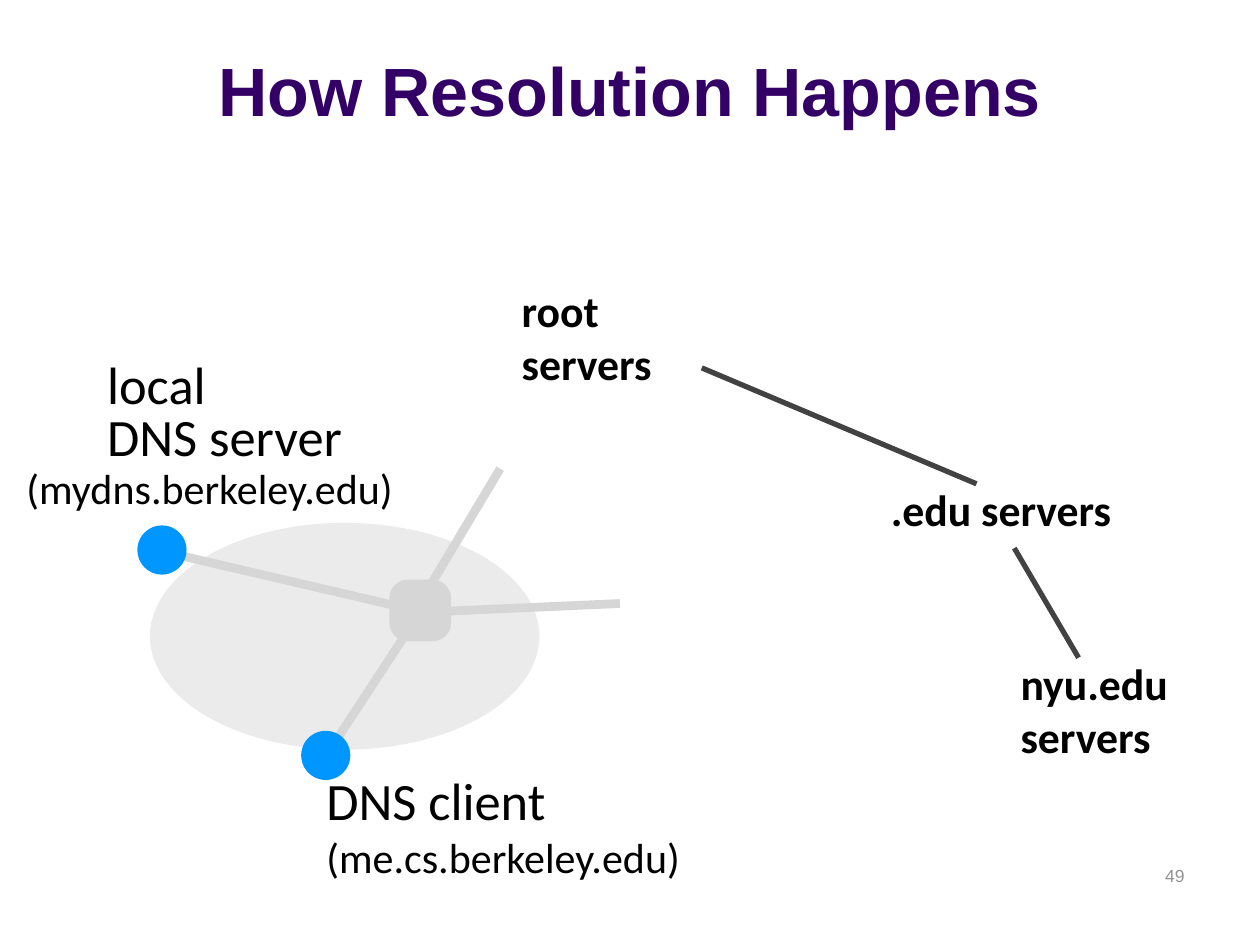
from dataclasses import dataclass

from lxml import etree
from pptx import Presentation
from pptx.dml.color import RGBColor
from pptx.enum.shapes import MSO_CONNECTOR, MSO_SHAPE
from pptx.enum.text import MSO_ANCHOR, PP_ALIGN
from pptx.oxml.ns import qn
from pptx.util import Inches, Pt

OVAL, ROUNDED = MSO_SHAPE.OVAL, MSO_SHAPE.ROUNDED_RECTANGLE
STRAIGHT = MSO_CONNECTOR.STRAIGHT
TOP, MIDDLE, BOTTOM = MSO_ANCHOR.TOP, MSO_ANCHOR.MIDDLE, MSO_ANCHOR.BOTTOM
LEFT, CENTER, RIGHT = PP_ALIGN.LEFT, PP_ALIGN.CENTER, PP_ALIGN.RIGHT

WIDTH, HEIGHT = Inches(10), Inches(7.5)
COLUMNS, ROWS = 100, 75


@dataclass(frozen=True)
class Theme:
    """Colours, fonts and type sizes of the slide."""
    title_color: str = "330066"
    text_color: str = "000000"
    number_color: str = "929292"
    cloud: str = "EBEBEB"
    router: str = "D6D6D6"
    host: str = "0096FF"
    tree_line: str = "424242"
    heading_font: str = "Arial"
    label_font: str = "Calibri"
    title_size: int = 39
    label_size: int = 30
    server_size: int = 25
    address_size: int = 24
    number_size: int = 10


THEME = Theme()


@dataclass(frozen=True)
class Box:
    """An area in grid columns and rows."""
    left: float
    top: float
    width: float
    height: float

    def point(self, x, y):
        """Slide position of a grid offset inside the box."""
        return (round((self.left + x) * WIDTH / COLUMNS),
                round((self.top + y) * HEIGHT / ROWS))

    def inner(self, x, y, width, height):
        """A smaller box at a grid offset."""
        return Box(self.left + x, self.top + y, width, height)

    def place(self):
        """Left, top, width and height on the slide."""
        return (*self.point(0, 0), round(self.width * WIDTH / COLUMNS),
                round(self.height * HEIGHT / ROWS))


def write(shape, *spans, font=THEME.label_font, color=THEME.text_color,
          bold=False, align=LEFT, anchor=MIDDLE, inset=0.04):
    """Write (text, size) spans into a shape, one span a line."""
    frame = shape.text_frame
    frame.word_wrap = True
    frame.vertical_anchor = anchor
    frame.margin_left = frame.margin_right = Inches(inset)
    frame.margin_top = frame.margin_bottom = Inches(inset)
    para = frame.paragraphs[0]
    para.alignment = align
    for index, (text, size) in enumerate(spans):
        if index:
            para.add_line_break()
        span = para.add_run()
        span.text = text
        span.font.name, span.font.size, span.font.bold = font, Pt(size), bold
        span.font.color.rgb = RGBColor.from_string(color)


def add_label(page, box, *spans, **style):
    """Add a text box."""
    write(page.shapes.add_textbox(*box.place()), *spans, **style)


def add_solid(page, kind, box, color):
    """Add a filled shape without outline."""
    shape = page.shapes.add_shape(kind, *box.place())
    shape.shadow.inherit = False
    shape.fill.solid()
    shape.fill.fore_color.rgb = RGBColor.from_string(color)
    shape.line.fill.background()
    return shape


def add_link(page, box, start, end, color, weight):
    """Add a straight line between two grid offsets of a box."""
    line = page.shapes.add_connector(
        STRAIGHT, *box.point(*start), *box.point(*end))
    line.line.color.rgb = RGBColor.from_string(color)
    line.line.width = Pt(weight)
    etree.SubElement(line._element.spPr, qn("a:effectLst"))


def add_title(page, box):
    """Fill the title placeholder."""
    title = page.shapes.title
    title.left, title.top, title.width, title.height = box.place()
    write(title, ("How Resolution Happens", THEME.title_size), bold=True,
          font=THEME.heading_font, color=THEME.title_color,
          align=CENTER, anchor=BOTTOM, inset=0.05)


def add_local_network(page, box):
    """Draw the local network with its router, client and DNS server."""
    add_solid(page, OVAL, box.inner(11.9, 14, 30.9, 18), THEME.cloud)
    links = [((12.6, 16.2), (32.8, 20.9)), ((33.2, 21.3), (26.2, 32)),
             ((39.7, 9.7), (33.3, 20.4)), ((49.2, 20.4), (33.4, 21.1))]
    for start, end in links:
        add_link(page, box, start, end, THEME.router, 5)
    router = add_solid(page, ROUNDED, box.inner(30.9, 18.5, 4.9, 4.9),
                       THEME.router)
    router.adjustments[0] = 0.3
    for x, y in [(23.9, 30.5), (10.9, 14.2)]:
        add_solid(page, OVAL, box.inner(x, y, 3.9, 3.9), THEME.host)

    add_label(page, box.inner(25.5, 33, 41.2, 9.9),
              ("DNS client", THEME.label_size),
              ("(me.cs.berkeley.edu)", THEME.address_size))
    add_label(page, box.inner(8.1, 0, 9.6, 5.8), ("local", THEME.label_size))
    add_label(page, box.inner(8.1, 4.2, 20.3, 5.8),
              ("DNS server", THEME.label_size))
    add_label(page, box.inner(1.7, 8.8, 38.3, 4.8),
              ("(mydns.berkeley.edu)", THEME.address_size))


def add_server_tree(page, box):
    """Draw the chain of servers from the root downwards."""
    for start, end in [((14.7, 7.1), (36.5, 16.3)),
                       ((39.5, 21.4), (44.6, 30.1))]:
        add_link(page, box, start, end, THEME.tree_line, 3)
    servers = [((0, 0, 17.9, 9.2), ("root", "servers")),
               ((29.3, 15.8, 20.5, 5), (".edu servers",)),
               ((39.6, 29.6, 14.4, 9.2), ("nyu.edu", "servers"))]
    for area, lines in servers:
        add_label(page, box.inner(*area),
                  *[(line, THEME.server_size) for line in lines], bold=True)


def add_page_number(page, box):
    """Add the slide number."""
    add_label(page, box, ("49", THEME.number_size), font=THEME.heading_font,
              color=THEME.number_color, align=RIGHT, anchor=TOP, inset=0.1)


def build():
    """Build and save the deck."""
    deck = Presentation()
    deck.slide_width, deck.slide_height = WIDTH, HEIGHT
    page = deck.slides.add_slide(deck.slide_layouts[5])
    add_title(page, Box(0, 1.3, 100, 9.5))
    add_page_number(page, Box(71.7, 67.8, 23.3, 5))
    add_local_network(page, Box(0, 27.5, 66.7, 42.9))
    add_server_tree(page, Box(41, 22.1, 54, 38.8))
    deck.save("out.pptx")


build()
